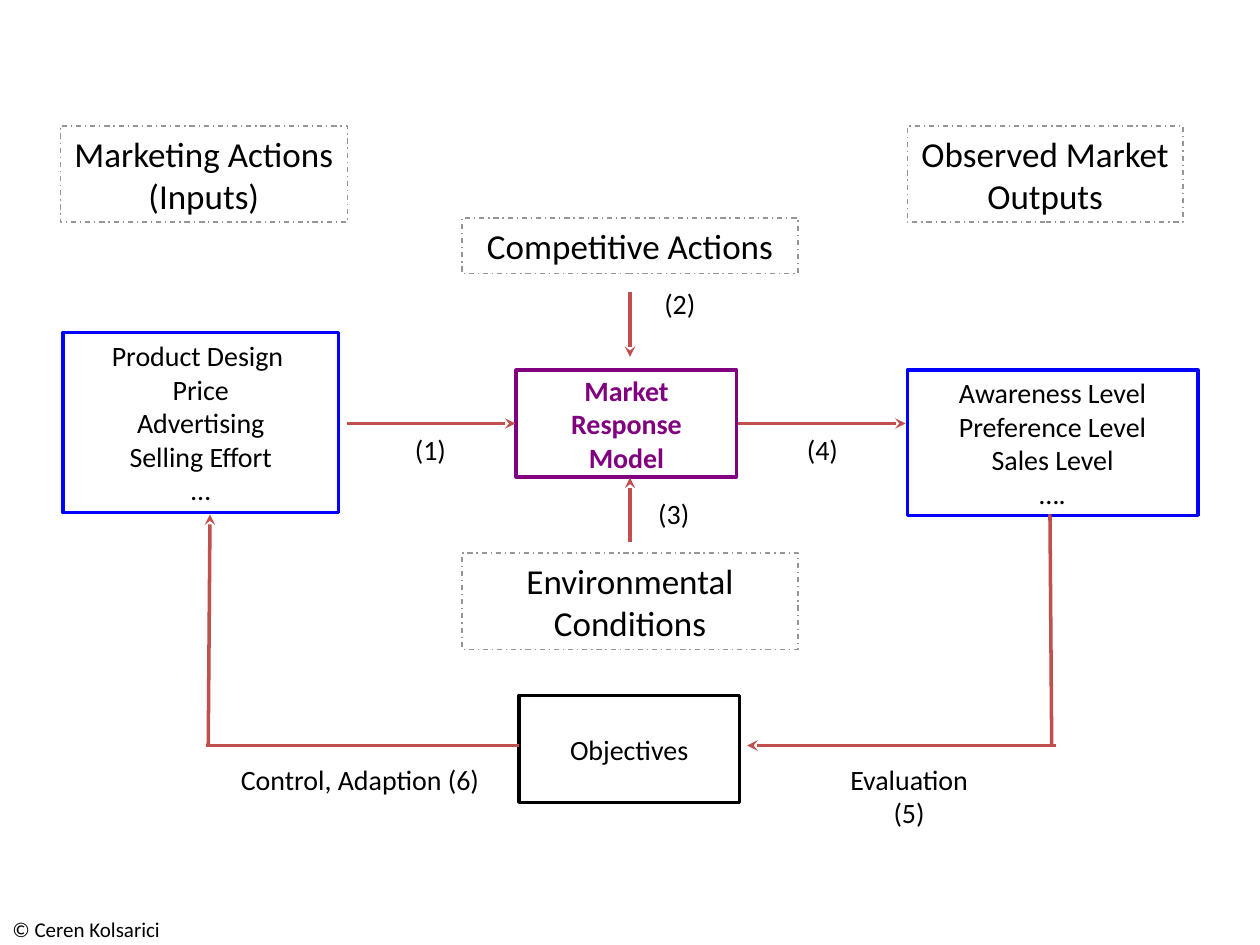
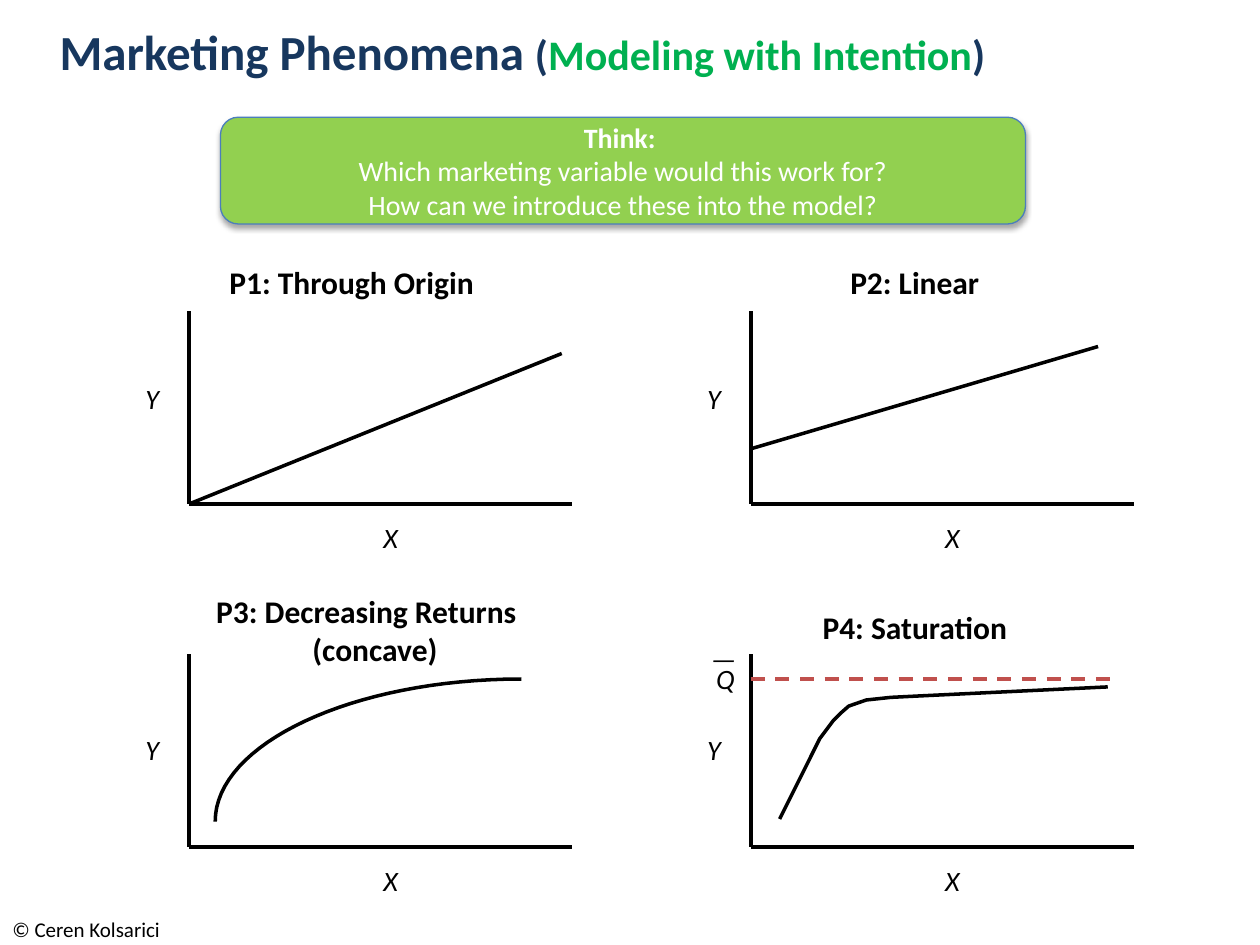
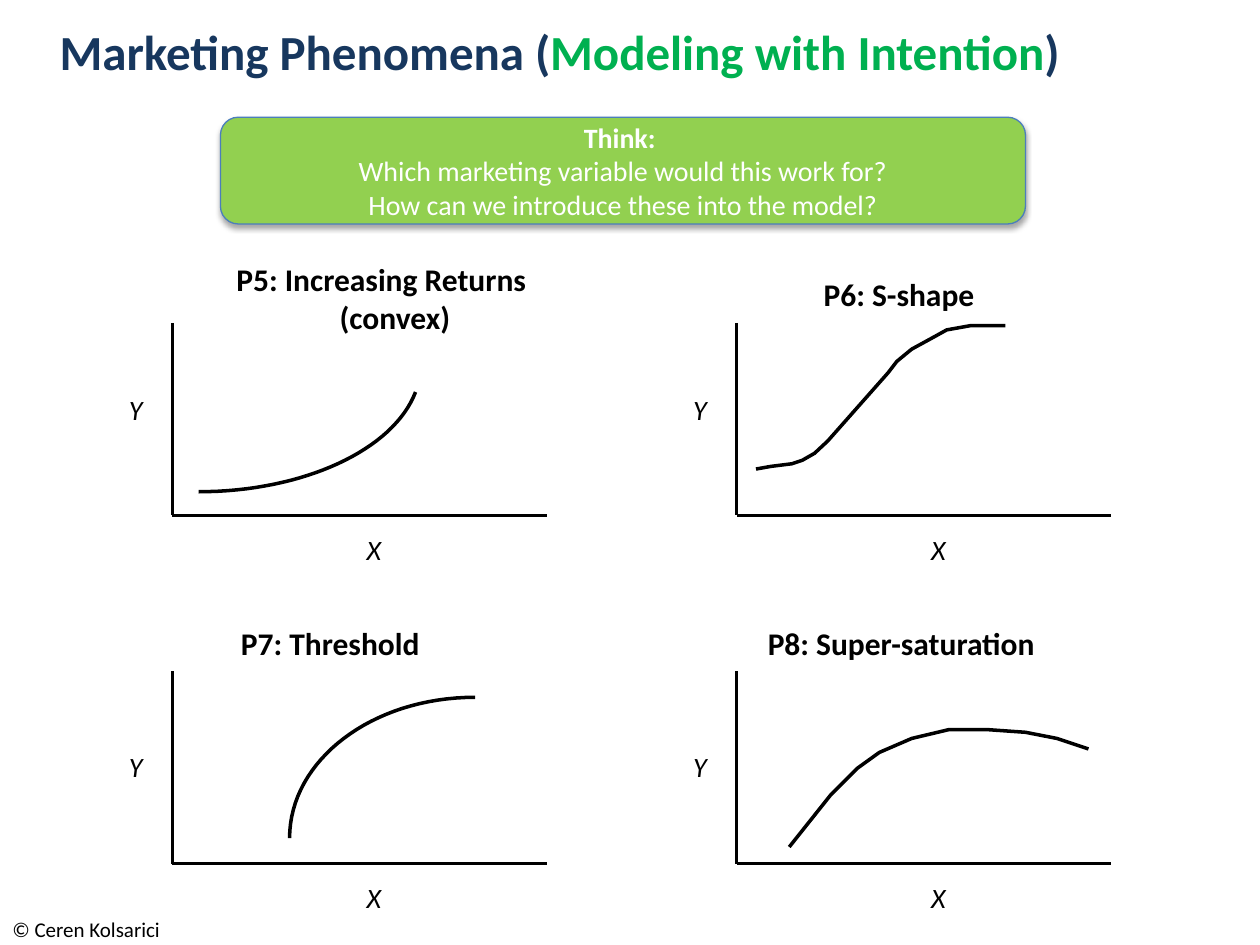
from lxml import etree
from pptx import Presentation
from pptx.dml.color import RGBColor
from pptx.enum.dml import MSO_LINE_DASH_STYLE as DASH
from pptx.enum.shapes import MSO_CONNECTOR, MSO_SHAPE
from pptx.enum.text import MSO_ANCHOR as ANCHOR, PP_ALIGN as ALIGN
from pptx.oxml.ns import qn
from pptx.util import Pt

COLORS = {
    "black": "000000", "white": "FFFFFF", "gray": "969696", "red": "C0504D",
    "blue": "0000FF", "purple": "800080", "navy": "17375E", "green": "00B050",
    "lime": "92D050", "rim": "4B7EBC",
}
FONT = "Calibri"
BODY = {"size": Pt(16)}
CAPTION = {"size": Pt(20)}
HEADING = {"size": Pt(18), "bold": True}
AXIS = {"size": Pt(16), "italic": True}
AXIS_HEIGHT = 110


def rgb(name):
    return RGBColor.from_string(COLORS[name])


def write(sp, paragraphs, fmt, color="black", align=ALIGN.CENTER,
          anchor=ANCHOR.TOP, wrap=False):
    """Each paragraph is a string or a list of (text, colour, format) runs."""
    tf = sp.text_frame
    tf.word_wrap = wrap
    tf.vertical_anchor = anchor
    for i, runs in enumerate(paragraphs):
        p = tf.paragraphs[0] if i == 0 else tf.add_paragraph()
        p.alignment = align
        if isinstance(runs, str):
            runs = [(runs, color, {})]
        for text, run_color, extra in runs:
            r = p.add_run()
            r.text = text
            for name, value in {"name": FONT, **fmt, **extra}.items():
                setattr(r.font, name, value)
            r.font.color.rgb = rgb(run_color)


def add_text(slide, box, paragraphs, fmt=BODY, **options):
    sp = slide.shapes.add_textbox(*map(Pt, box))
    write(sp, paragraphs, fmt, **options)
    return sp


def set_line(sp, color, width, dash=None):
    sp.line.color.rgb = rgb(color)
    sp.line.width = Pt(width)
    if dash:
        sp.line.dash_style = dash


def add_box(slide, box, paragraphs, outline, width=2, dash=None, fmt=BODY, **options):
    sp = slide.shapes.add_shape(MSO_SHAPE.RECTANGLE, *map(Pt, box))
    sp.shadow.inherit = False
    sp.fill.background()
    set_line(sp, outline, width, dash)
    write(sp, paragraphs, fmt, anchor=ANCHOR.MIDDLE, **options)


def add_line(slide, start, end, color="black", dash=None, arrow=False):
    c = slide.shapes.add_connector(MSO_CONNECTOR.STRAIGHT, *map(Pt, (*start, *end)))
    set_line(c, color, 2, dash)
    sp_pr = c.element.spPr
    if arrow:
        etree.SubElement(sp_pr.find(qn("a:ln")), qn("a:tailEnd"), type="stealth")
    etree.SubElement(sp_pr, qn("a:effectLst"))


def add_curve(slide, points):
    start, *rest = [(Pt(x), Pt(y)) for x, y in points]
    builder = slide.shapes.build_freeform(*start)
    builder.add_line_segments(rest, close=False)
    sp = builder.convert_to_shape()
    sp.shadow.inherit = False
    sp.fill.background()
    set_line(sp, "black", 2)


def bezier(*controls, steps=32):
    """Points along a cubic curve with four control points."""
    points = []
    for i in range(steps + 1):
        t = i / steps
        weights = ((1 - t) ** 3, 3 * t * (1 - t) ** 2, 3 * t * t * (1 - t), t ** 3)
        points.append(tuple(sum(w * c[k] for w, c in zip(weights, controls))
                            for k in (0, 1)))
    return points


def add_graph(slide, origin, width, label_rise, points):
    """Axes, their letters and a curve given as offsets right and up from origin."""
    x, y = origin
    add_line(slide, (x, y - AXIS_HEIGHT), origin)
    add_line(slide, origin, (x + width, y))
    add_text(slide, (x - 32.5, y - label_rise, 23, 26.5), ["Y"], AXIS)
    add_text(slide, (x + 103, y + 6, 24.5, 26.5), ["X"], AXIS)
    places = [(x + dx, y - dy) for dx, dy in points]
    if len(places) == 2:
        add_line(slide, *places)
    else:
        add_curve(slide, places)


def add_graph_grid(slide, columns, rows, width, curves):
    cells = [(x, y, rise) for y, rise in rows for x in columns]
    for (x, y, rise), points in zip(cells, curves):
        add_graph(slide, (x, y), width, rise, points)


def add_heading(slide, box, text):
    add_text(slide, box, [text], HEADING)


def add_stepped_heading(slide, box, lines, indent):
    sp = add_text(slide, box, lines, HEADING, align=ALIGN.LEFT)
    p_pr = sp.text_frame.paragraphs[1]._p.get_or_add_pPr()
    p_pr.set("marL", str(Pt(indent)))


def add_footer(slide):
    add_text(slide, (0, 520, 390, 20), ["© Ceren Kolsarici"], {"size": Pt(12)},
             align=ALIGN.LEFT, wrap=True)


def add_title(slide, runs):
    add_text(slide, (27, 3.5, 590, 51), [runs], {"size": Pt(28), "bold": True},
             align=ALIGN.LEFT, anchor=ANCHOR.MIDDLE, wrap=True)


def add_think_banner(slide):
    sp = slide.shapes.add_shape(MSO_SHAPE.ROUNDED_RECTANGLE,
                                *map(Pt, (126, 67, 460, 61)))
    sp.fill.solid()
    sp.fill.fore_color.rgb = rgb("lime")
    set_line(sp, "rim", 0.75)
    sp.shadow.inherit = False
    effects = sp.element.spPr.find(qn("a:effectLst"))
    shadow = etree.SubElement(effects, qn("a:outerShdw"), blurRad=str(Pt(3.1)),
                              dist=str(Pt(1.8)), dir="5400000", rotWithShape="0")
    shade = etree.SubElement(shadow, qn("a:srgbClr"), val=COLORS["black"])
    etree.SubElement(shade, qn("a:alpha"), val="35000")
    write(sp, [[("Think: ", "white", {"bold": True})],
               "Which marketing variable would this work for?",
               "How can we introduce these into the model?"],
          BODY, color="white", anchor=ANCHOR.MIDDLE, wrap=True)


def build_response_model(slide):
    add_footer(slide)
    captions = [
        ((34.5, 72, 164, 55), ["Marketing Actions", "(Inputs)"]),
        ((518.5, 72, 157.5, 55), ["Observed Market", "Outputs"]),
        ((264, 124.5, 192, 32), ["Competitive Actions"]),
        ((264, 316, 192, 55), ["Environmental Conditions"]),
    ]
    for box, lines in captions:
        add_box(slide, box, lines, "gray", 0.75, DASH.DASH_DOT, CAPTION, wrap=True)

    add_box(slide, (36, 190, 157.5, 103),
            ["Product Design ", "Price", "Advertising", "Selling Effort", "…"], "blue")
    add_box(slide, (295, 211.5, 126, 61), ["Market", "Response", "Model"], "purple",
            fmt={**BODY, "bold": True}, color="purple")
    add_box(slide, (518.5, 211.5, 166, 83),
            ["Awareness Level", "Preference Level", "Sales Level", "…."], "blue")
    add_box(slide, (296.5, 397.5, 126, 61), ["Objectives"], "black")

    flows = [
        ((198, 242), (294.5, 242), True),
        ((422, 242), (517.5, 242), True),
        ((360, 167), (360, 204), True),
        ((360, 309.5), (360, 273), True),
        ((600, 294), (601, 425.5), False),
        ((603.5, 426), (427, 426), True),
        ((296.5, 426), (118, 426), False),
        ((119, 425.5), (120, 294), True),
    ]
    for start, end, arrow in flows:
        add_line(slide, start, end, "red", arrow=arrow)

    steps = [("(1)", 229.5, 243.5), ("(4)", 453.5, 243.5),
             ("(2)", 372, 160), ("(3)", 368.5, 280)]
    for text, left, top in steps:
        add_text(slide, (left, top, 33, 26.5), [text])
    add_text(slide, (478, 432, 83, 46), ["Evaluation", "(5)"])
    add_text(slide, (129.5, 432, 152.5, 26.5), ["Control, Adaption (6)"])


def build_basic_shapes(slide):
    small = {"size": Pt(24)}
    add_title(slide, [("Marketing Phenomena ", "navy", {}), ("(", "navy", small),
                      ("Modeling with Intention", "green", small),
                      (")", "navy", small)])
    add_footer(slide)
    add_think_banner(slide)

    add_heading(slide, (121, 147, 160, 29), "P1: Through Origin")
    add_heading(slide, (478, 147, 89.5, 29), "P2: Linear")
    add_stepped_heading(slide, (116.5, 335, 188, 51),
                        ["P3: Decreasing Returns", "(concave)"], 55)
    add_heading(slide, (460, 344, 125.5, 29), "P4: Saturation")

    through_origin = [(0, 0), (213, 86)]
    linear = [(0, 31.5), (198.5, 90)]
    concave = bezier((15, 14.5), (15, 59), (93.5, 96), (190, 96))
    saturation = [(16.5, 16), (39.5, 62), (47, 72), (52, 77), (56, 80.5), (66, 84),
                  (80, 85.5), (100, 86.5), (204, 91.5)]
    add_graph_grid(slide, (108, 429), ((288, 73.5), (484, 69)), 219,
                   (through_origin, linear, concave, saturation))

    add_line(slide, (429, 388), (635, 388), "red", DASH.DASH)
    add_text(slide, (401.5, 374.5, 26, 26.5), ["Q"], AXIS)
    add_text(slide, (399, 363, 29, 26.5), ["—"], AXIS)


def build_complex_shapes(slide):
    add_title(slide, [("Marketing Phenomena (", "navy", {}),
                      ("Modeling with Intention", "green", {}), (")", "navy", {})])
    add_footer(slide)
    add_think_banner(slide)

    add_stepped_heading(slide, (128, 145, 181.5, 51),
                        ["P5: Increasing Returns", "(convex)"], 59)
    add_heading(slide, (463, 153.5, 101.5, 29), "P6: S-shape")
    add_heading(slide, (128, 353, 121.5, 29), "P7: Threshold")
    add_heading(slide, (428.5, 353, 173, 29), "P8: Super-saturation")

    convex = bezier((139, 70.5), (126.5, 37.5), (75, 13.5), (15, 13.5))
    s_shape = [(11, 26.5), (19.5, 28), (31.5, 29.5), (37.5, 31.5), (44.5, 35.5),
               (52, 42.5), (86.5, 81.5), (91.5, 88), (100, 95), (111, 101),
               (120, 106), (134, 108.5), (153.5, 108.5)]
    threshold = bezier((67, 14.5), (67, 59), (114, 95), (173, 95))
    super_saturation = [(30, 9.5), (53.5, 39), (69, 54.5), (81.5, 63.5), (100, 71.5),
                        (121, 76.5), (144, 76.5), (165, 75), (183, 71.5), (201, 65.5)]
    add_graph_grid(slide, (98.5, 421), ((294.5, 73.5), (493.5, 68.5)), 214,
                   (convex, s_shape, threshold, super_saturation))


def main():
    prs = Presentation()
    prs.slide_width, prs.slide_height = Pt(720), Pt(540)
    blank = prs.slide_layouts[6]
    for build in (build_response_model, build_basic_shapes, build_complex_shapes):
        build(prs.slides.add_slide(blank))
    prs.save("out.pptx")


if __name__ == "__main__":
    main()
